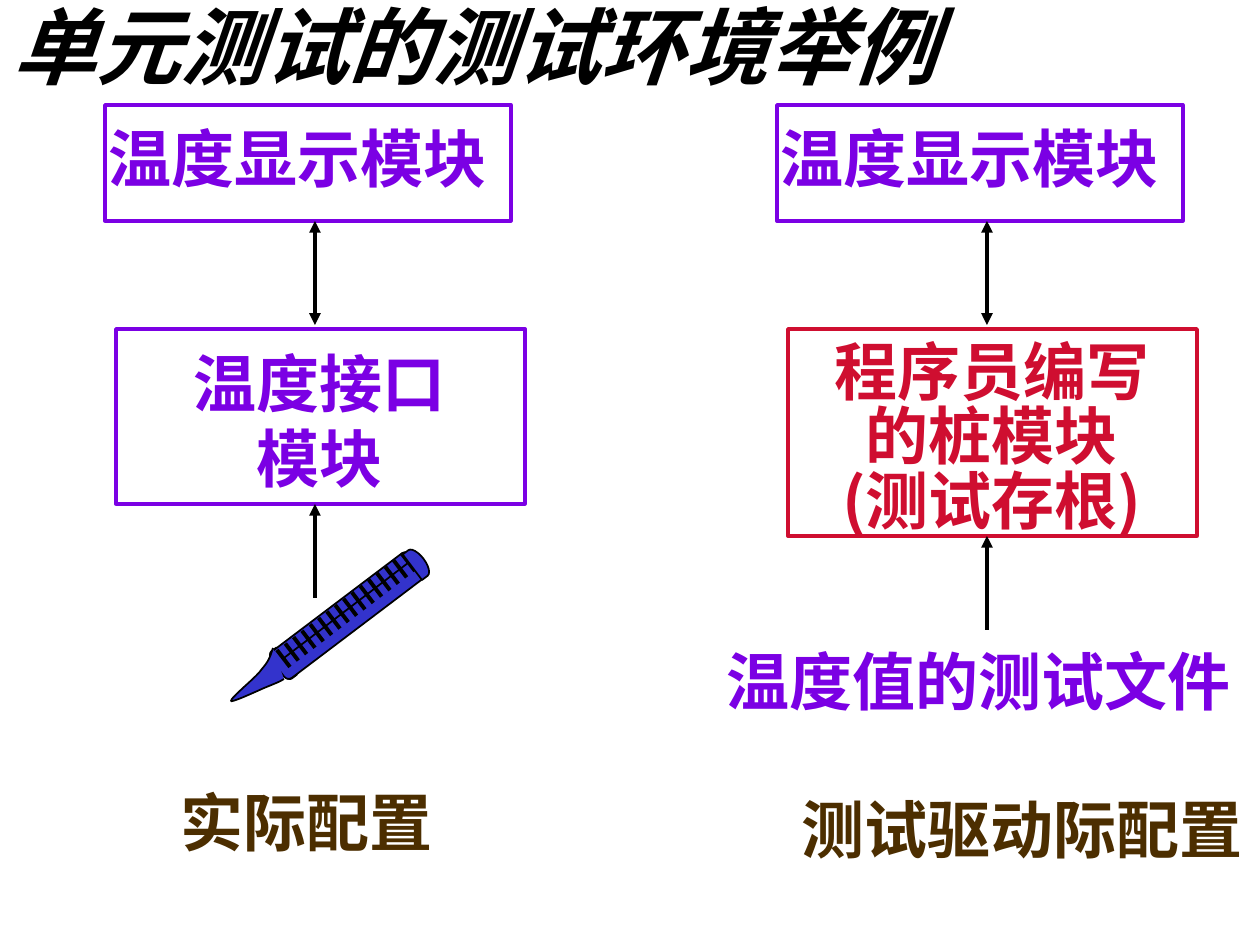
from pptx import Presentation
from pptx.dml.color import RGBColor
from pptx.enum.shapes import MSO_CONNECTOR, MSO_SHAPE
from pptx.enum.text import PP_ALIGN
from pptx.oxml.ns import qn
from pptx.util import Emu, Pt
from lxml import etree

RECT, ROUND, DELAY = MSO_SHAPE.RECTANGLE, MSO_SHAPE.ROUNDED_RECTANGLE, MSO_SHAPE.FLOWCHART_DELAY
STRAIGHT = MSO_CONNECTOR.STRAIGHT
LEFT, CENTER = PP_ALIGN.LEFT, PP_ALIGN.CENTER
PX = 914400 // 126
FONT = "Noto Sans CJK SC"
PURPLE, RED, BROWN, BLACK, BLUE = "7B00E4", "CF0E30", "4C2E00", "000000", "3333CC"

# Content: one dict per configuration, drawn in its own column
TITLE = "单元测试的测试环境举例"
CONFIGS = [
    {"left": 0, "display": "温度显示模块", "source": ["温度接口", "模块"],
     "color": PURPLE, "spacing": None, "source_height": 175,
     "caption": "实际配置", "caption_box": (168, 777, 315, 88)},
    {"left": 672, "display": "温度显示模块", "source": ["程序员编写的桩模块", "(测试存根)"],
     "color": RED, "spacing": 0.85, "source_height": 207,
     "caption": "测试驱动际配置", "caption_box": (789, 784, 466, 88)},
]
TEST_FILE, TEST_FILE_BOX = "温度值的测试文件", (714, 636, 557, 88)

# Thermometer: rotated parts, scale ticks and tip outline
TILT = 322.9
BULB_END, TUBE, CAP = (275, 648, 13, 34), (260, 599, 174, 33), (411, 547, 14, 32)
AXIS = (284, 658, 408, 563)
TICKS, FIRST_TICK, LAST_TICK, TICK_SIZE = 16, (277, 650), (402, 554), (13, 17)
TIP_START = (273, 648)
TIP_CURVES = [((271, 654), (270, 660), (262, 669)),
              ((256, 678), (231, 697), (231, 701)),
              ((231, 703), (253, 693), (262, 689)),
              ((271, 685), (280, 682), (284, 679))]
CURVE_STEPS = 10


def rgb(value):
    return RGBColor.from_string(value)


def px(*values):
    return [Emu(round(v * PX)) for v in values]


def add_text(shapes, box, lines, color, size=36, align=LEFT, spacing=None,
             italic=False, wrap=True):
    frame = shapes.add_textbox(*px(*box)).text_frame
    frame.word_wrap = wrap
    frame.text = "\n".join(lines)
    for paragraph in frame.paragraphs:
        paragraph.alignment = align
        if spacing:
            paragraph.line_spacing = spacing
        for run in paragraph.runs:
            font = run.font
            font.name, font.size, font.bold, font.italic = FONT, Pt(size), True, italic
            font.color.rgb = rgb(color)
            etree.SubElement(run._r.get_or_add_rPr(), qn("a:ea"), typeface=FONT)


def style(shape, line, width, fill=None):
    shape.shadow.inherit = False
    shape.line.color.rgb = rgb(line)
    shape.line.width = Pt(width)
    if fill:
        shape.fill.solid()
        shape.fill.fore_color.rgb = rgb(fill)
    else:
        shape.fill.background()


def add_shape(shapes, kind, box, line, width, fill=None, rotation=0):
    shape = shapes.add_shape(kind, *px(*box))
    style(shape, line, width, fill)
    shape.rotation = rotation


def add_line(shapes, ends, width=2.25, arrows=()):
    line = shapes.add_connector(STRAIGHT, *px(*ends))
    line.line.color.rgb = rgb(BLACK)
    line.line.width = Pt(width)
    for end in arrows:
        etree.SubElement(line.line._get_or_add_ln(), qn(f"a:{end}"), type="triangle")
    etree.SubElement(line._element.spPr, qn("a:effectLst"))


def curve_points(start, curves):
    points = [start]
    for c1, c2, end in curves:
        p0 = points[-1]
        for step in range(1, CURVE_STEPS + 1):
            t = step / CURVE_STEPS
            u = 1 - t
            points.append(tuple(
                u**3 * a + 3 * u * u * t * b + 3 * u * t * t * c + t**3 * d
                for a, b, c, d in zip(p0, c1, c2, end)))
    return points


def add_thermometer(slide):
    parts = slide.shapes.add_group_shape().shapes
    # A half turn points the rounded end down the tube
    add_shape(parts, DELAY, BULB_END, BLACK, 1, BLUE, TILT - 180)
    add_shape(parts, ROUND, TUBE, BLACK, 1, BLUE, TILT)
    add_line(parts, AXIS, 1)
    for i in range(TICKS):
        x, y = (a + (b - a) * i / (TICKS - 1) for a, b in zip(FIRST_TICK, LAST_TICK))
        add_line(parts, (x, y, x + TICK_SIZE[0], y + TICK_SIZE[1]))
    add_shape(parts, DELAY, CAP, BLACK, 1, BLUE, TILT)
    points = [px(*point) for point in curve_points(TIP_START, TIP_CURVES)]
    outline = parts.build_freeform(*points[0])
    outline.add_line_segments(points[1:], close=False)
    style(outline.convert_to_shape(), BLACK, 1, BLUE)


def add_config(shapes, config):
    left, color = config["left"], config["color"]
    display_top, display_height, source_top = 105, 116, 329
    display_bottom = display_top + display_height
    source_bottom = source_top + config["source_height"]
    arrow_x = left + 315
    # Modules
    add_text(shapes, (left + 96, 113, 406, 88), [config["display"]], PURPLE, wrap=False)
    add_shape(shapes, RECT, (left + 105, display_top, 406, display_height), PURPLE, 2)
    add_text(shapes, (left + 136, 338, 368, config["source_height"] - 11),
             config["source"], color, align=CENTER, spacing=config["spacing"])
    add_shape(shapes, RECT, (left + 116, source_top, 409, config["source_height"]), color, 2)
    # Data flow
    add_line(shapes, (arrow_x, display_bottom, arrow_x, source_top - 4),
             arrows=("headEnd", "tailEnd"))
    add_line(shapes, (arrow_x, source_bottom + 94, arrow_x, source_bottom),
             arrows=("tailEnd",))
    add_text(shapes, config["caption_box"], [config["caption"]], BROWN, wrap=False)


def main():
    deck = Presentation()
    deck.slide_width, deck.slide_height = px(1260, 945)
    slide = deck.slides.add_slide(deck.slide_layouts[6])
    add_text(slide.shapes, (0, 0, 1250, 105), [TITLE], BLACK, size=48,
             spacing=0.9, italic=True)
    for config in CONFIGS:
        add_config(slide.shapes, config)
    add_text(slide.shapes, TEST_FILE_BOX, [TEST_FILE], PURPLE)
    add_thermometer(slide)
    deck.save("out.pptx")


if __name__ == "__main__":
    main()
